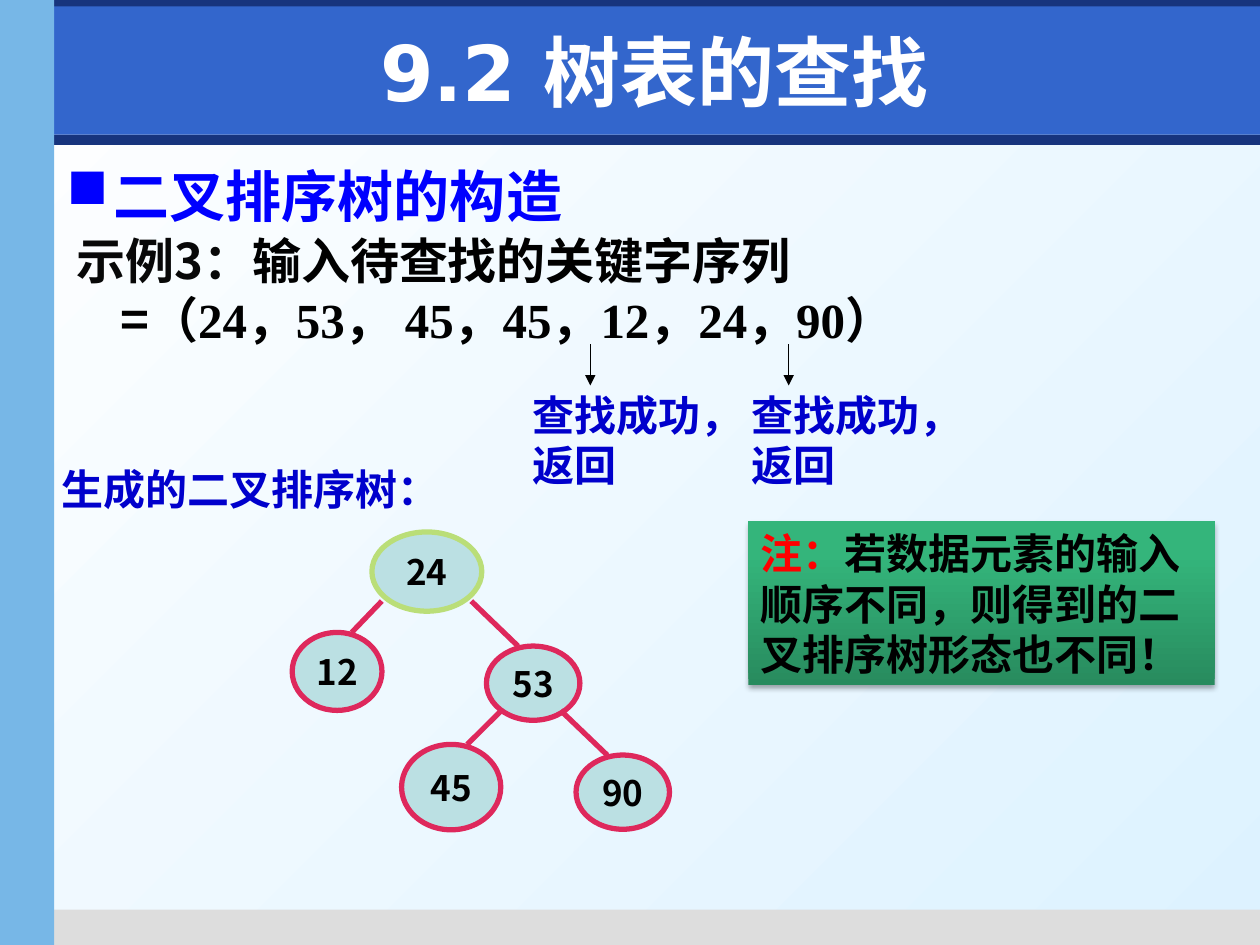
from typing import NamedTuple, Optional

from lxml.etree import SubElement
from pptx import Presentation
from pptx.dml.color import RGBColor
from pptx.enum.shapes import MSO_CONNECTOR, MSO_SHAPE
from pptx.enum.text import MSO_ANCHOR, PP_ALIGN
from pptx.oxml.ns import qn
from pptx.util import Pt

SANS = "Noto Sans CJK SC"
SERIF = "Times New Roman"
BLACK, BLUE, CRIMSON = "000000", "0000CC", "DE285C"


class Area(NamedTuple):
    left: float
    top: float
    width: float
    height: float


class Span(NamedTuple):
    text: str
    size: float
    color: str = BLACK
    font: str = SANS


class Bar(NamedTuple):
    area: Area
    color: str


class Node(NamedTuple):
    key: str
    area: Area
    outline: str = CRIMSON


class Line(NamedTuple):
    start: tuple[float, float]
    end: tuple[float, float]


BARS = [
    Bar(Area(3, 77, 717, 5.8), "17347D"),
    Bar(Area(25, 519.8, 695, 20.2), "DDDDDD"),
    Bar(Area(0, 0, 720, 15), "17347D"),
    Bar(Area(31, 3.6, 689, 73.4), "3366CC"),
    Bar(Area(0, 0, 31, 540), "77B7E7"),
]
NODES = [
    Node("24", Area(212.5, 304, 62.8, 45.3), "BADE78"),
    Node("53", Area(278, 369.2, 53.4, 42.4)),
    Node("45", Area(229.5, 425.4, 56.7, 48.8)),
    Node("12", Area(167, 361.4, 51.3, 44.6)),
    Node("90", Area(329.2, 431.5, 53.4, 42.4)),
]
EDGES = [
    Line((269.3, 343.5), (296, 369.2)),
    Line((286.5, 406), (267, 425.4)),
    Line((218.2, 343.5), (201, 361.4)),
    Line((320.4, 406), (347, 431.5)),
]
NOTE = [
    [Span("注：", 24, "FF0000", SERIF), Span("若", 24, font=SERIF),
     Span("数据元素的", 24), Span("输入", 24, font=SERIF)],
    [Span("顺序不同，则得到的二", 24, font=SERIF)],
    [Span("叉排序树形态也不同！", 24, font=SERIF)],
]


def rgb(value: str) -> RGBColor:
    return RGBColor.from_string(value)


def set_gradient(fill, owner, stops: list[tuple[int, str]], angle: float) -> None:
    fill.gradient()
    fill.gradient_angle = angle
    stop_list = owner.find(".//" + qn("a:gsLst"))
    for old in list(stop_list):
        stop_list.remove(old)
    for percent, color in stops:
        stop = SubElement(stop_list, qn("a:gs"), pos=str(percent * 1000))
        SubElement(stop, qn("a:srgbClr"), val=color)


def write(frame, paras: list[list[Span]], align=PP_ALIGN.LEFT,
          anchor=MSO_ANCHOR.TOP, wrap: bool = True) -> None:
    frame.word_wrap = wrap
    frame.vertical_anchor = anchor
    for number, spans in enumerate(paras):
        para = frame.add_paragraph() if number else frame.paragraphs[0]
        para.alignment = align
        for item in spans:
            span = para.add_run()
            span.text = item.text
            span.font.size = Pt(item.size)
            span.font.bold = True
            span.font.name = item.font
            span.font.color.rgb = rgb(item.color)
            SubElement(span.font._element, qn("a:ea"), typeface=SANS)


def add_text(page, area: Area, paras: list[list[Span]], **options):
    box = page.shapes.add_textbox(*map(Pt, area))
    write(box.text_frame, paras, **options)
    return box


def add_box(page, kind, area: Area, color: str, outline: Optional[str] = None):
    box = page.shapes.add_shape(kind, *map(Pt, area))
    box.shadow.inherit = False
    box.fill.solid()
    box.fill.fore_color.rgb = rgb(color)
    if outline:
        box.line.color.rgb = rgb(outline)
        box.line.width = Pt(3)
    else:
        box.line.fill.background()
    return box


def add_node(page, node: Node) -> None:
    box = add_box(page, MSO_SHAPE.OVAL, node.area, "BBE0E3", node.outline)
    write(box.text_frame, [[Span(node.key, 20)]], PP_ALIGN.CENTER,
          MSO_ANCHOR.MIDDLE, wrap=False)


def add_line(page, line: Line, color: str, width: float, arrow: bool = False) -> None:
    connector = page.shapes.add_connector(
        MSO_CONNECTOR.STRAIGHT, *map(Pt, line.start + line.end))
    connector.line.color.rgb = rgb(color)
    connector.line.width = Pt(width)
    properties = connector.element.find(qn("p:spPr"))
    if arrow:
        SubElement(properties.find(qn("a:ln")), qn("a:tailEnd"), type="triangle")
    SubElement(properties, qn("a:effectLst"))


def add_heading(page) -> None:
    box = add_text(page, Area(31, 88.6, 674.6, 424.8),
                   [[Span("二叉排序树的构造", 32, "0000FF", "Arial")]])
    settings = box.text_frame.paragraphs[0]._p.get_or_add_pPr()
    settings.set("marL", str(Pt(27)))
    settings.set("indent", str(-Pt(27)))
    bullet_color = SubElement(settings, qn("a:buClr"))
    SubElement(bullet_color, qn("a:srgbClr"), val="0000FF")
    SubElement(settings, qn("a:buChar"), char="■")


def add_sequence(page) -> None:
    box = add_text(page, Area(36.7, 128.2, 513.4, 74.2), [
        [Span("示例3：", 28, "080808"), Span("输入待查找的关键字序列", 28)],
        [Span("=", 28), Span("（24，53， 45，45，12，24，90）", 28, font=SERIF)],
    ])
    settings = box.text_frame.paragraphs[1]._p.get_or_add_pPr()
    settings.set("marL", "0")
    settings.set("indent", str(Pt(25)))


def add_note(page) -> None:
    box = add_box(page, MSO_SHAPE.RECTANGLE, Area(427.7, 298, 266.4, 93.6), "34B57B")
    set_gradient(box.fill, box.element,
                 [(0, "288B5E"), (80, "34B57B"), (100, "32B87B")], 90)
    effects = box.element.find(".//" + qn("a:effectLst"))
    shadow = SubElement(effects, qn("a:outerShdw"), blurRad=str(Pt(3.1)),
                        dist=str(Pt(1.8)), dir="5400000", rotWithShape="0")
    shade = SubElement(shadow, qn("a:srgbClr"), val=BLACK)
    SubElement(shade, qn("a:alpha"), val="35000")
    write(box.text_frame, NOTE)


def main() -> None:
    deck = Presentation()
    deck.slide_width, deck.slide_height = Pt(720), Pt(540)
    page = deck.slides.add_slide(deck.slide_layouts[6])
    set_gradient(page.background.fill, page.element,
                 [(0, "FFFFFF"), (100, "DDF2FF")], 315)
    for bar in BARS:
        add_box(page, MSO_SHAPE.RECTANGLE, bar.area, bar.color)
    add_text(page, Area(42.5, 9.4, 663, 62.6),
             [[Span("9.2 树表的查找", 44, "FFFFFF", "DejaVu Sans")]],
             align=PP_ALIGN.CENTER, anchor=MSO_ANCHOR.MIDDLE)
    add_heading(page)
    for node in NODES:
        add_node(page, node)
    for edge in EDGES:
        add_line(page, edge, CRIMSON, 3)
    add_sequence(page)
    add_text(page, Area(28, 261.4, 252.7, 36), [[Span("生成的二叉排序树：", 24, BLUE)]])
    for left, arrow_x in ((297.4, 337.3), (422.6, 450.7)):
        add_text(page, Area(left, 218.9, 118.8, 65.5),
                 [[Span("查找成功，返回", 24, BLUE)]])
        add_line(page, Line((arrow_x, 196.6), (arrow_x, 220.3)), BLACK, 0.75, arrow=True)
    add_note(page)
    deck.save("out.pptx")


if __name__ == "__main__":
    main()
